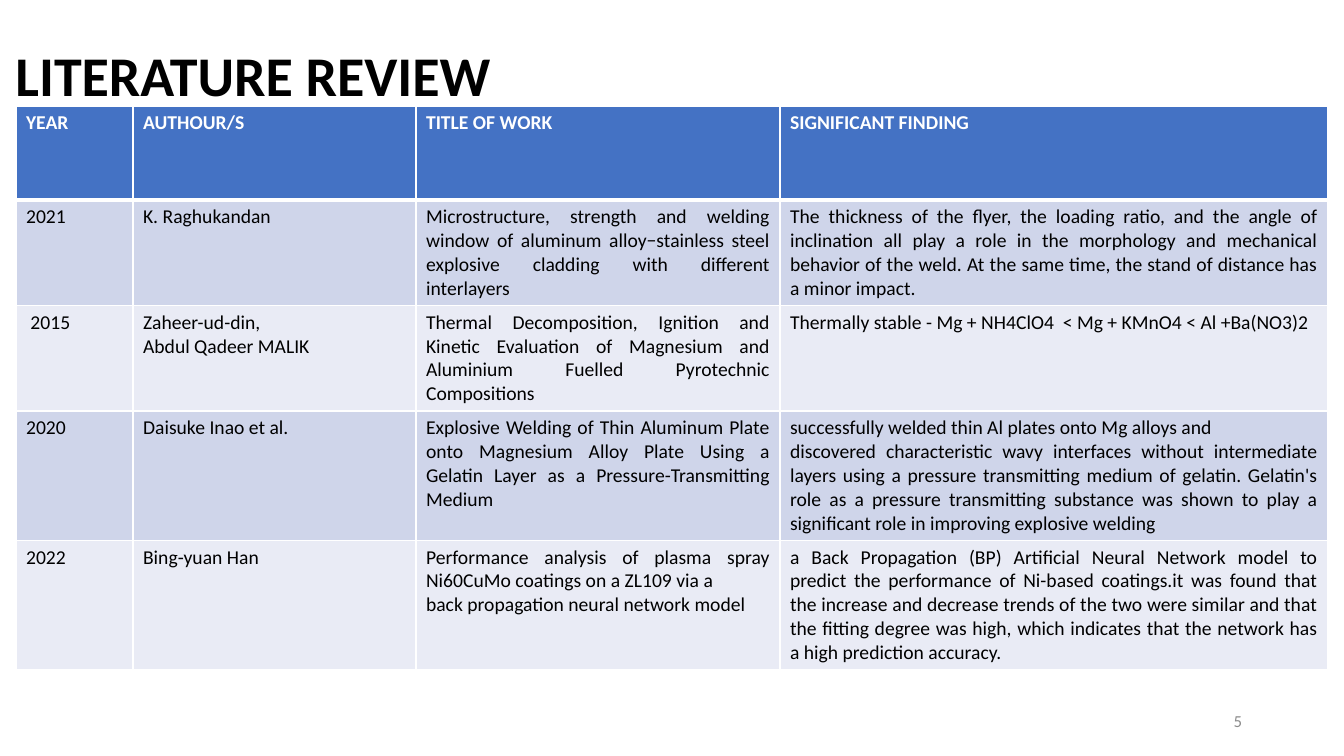
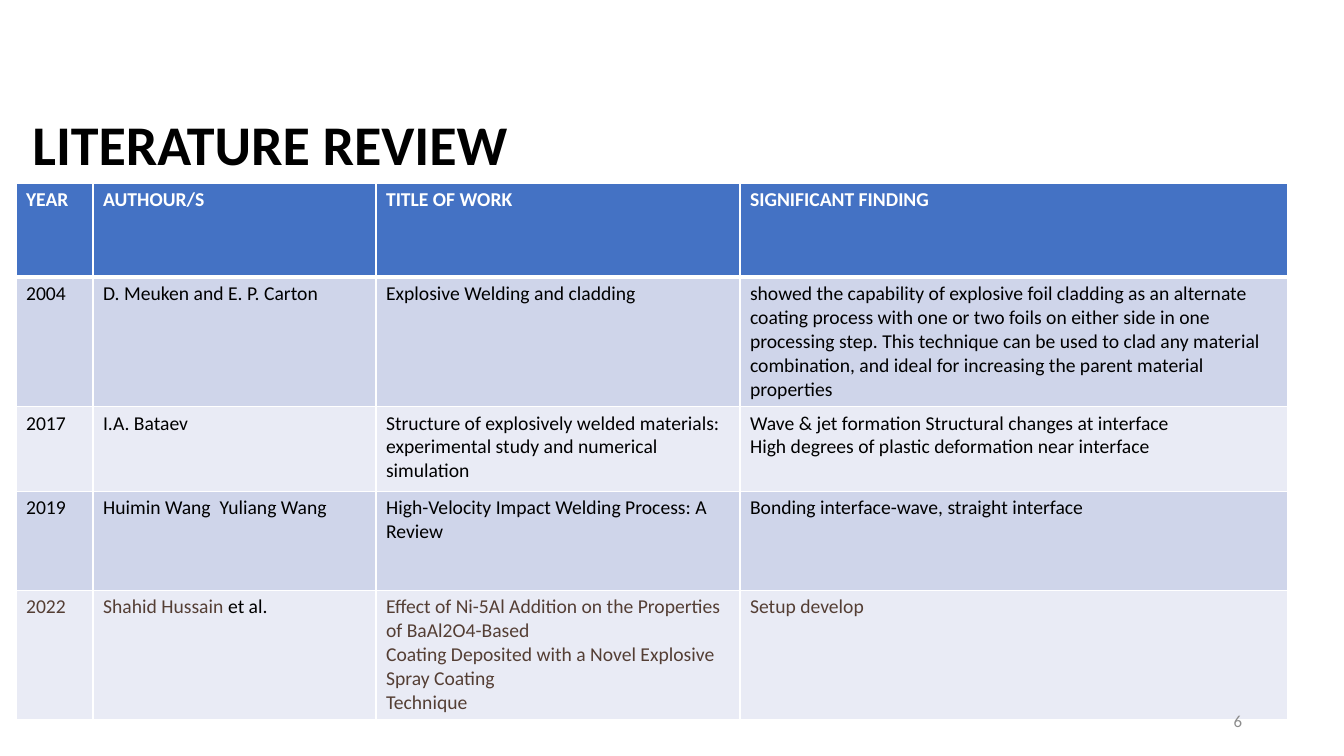
from lxml import etree
from pptx import Presentation
from pptx import util as u
from pptx.dml.color import RGBColor
from pptx.enum import text
from pptx.oxml import ns

PX = 12192000 / 1344
BLACK = RGBColor(0, 0, 0)
WHITE = RGBColor(255, 255, 255)
GREY = RGBColor(0x8C, 0x8C, 0x8C)
BROWN = RGBColor(0x54, 0x3E, 0x34)
HEADER = RGBColor(0x44, 0x72, 0xC4)
BANDS = RGBColor(0xE9, 0xEB, 0xF5), RGBColor(0xCF, 0xD5, 0xEA)
FONT = "Calibri"
TITLE = "LITERATURE REVIEW"
HEADINGS = ("YEAR", "AUTHOUR/S", "TITLE OF WORK", "SIGNIFICANT FINDING")
WORK_COLS = (283, 364, 548)
LEFT = text.PP_ALIGN.LEFT
CENTER = text.PP_ALIGN.CENTER
RIGHT = text.PP_ALIGN.RIGHT
JUSTIFY = text.PP_ALIGN.JUSTIFY


def px(n):
    return u.Emu(round(n * PX))


class Deck:
    def __init__(self):
        self.prs = Presentation()
        self.prs.slide_width, self.prs.slide_height = px(1344), px(756)
        self.s = None

    def slide(self):
        self.s = self.prs.slides.add_slide(self.prs.slide_layouts[5])

    def place(self, sp, x, y, w, h):
        sp.left, sp.top, sp.width, sp.height = px(x), px(y), px(w), px(h)

    def font(self, r, size, color, bold=False):
        r.font.name, r.font.size = FONT, u.Pt(size)
        r.font.color.rgb, r.font.bold = color, bold

    def fill_text(self, tf, words, size, color, bold=False, align=LEFT):
        tf.text = words
        for p in tf.paragraphs:
            p.alignment = align
            for r in p.runs:
                self.font(r, size, color, bold)

    def title(self, x, y):
        sp = self.s.shapes.title
        self.place(sp, x, y, 506, 78)
        tf = sp.text_frame
        tf.auto_size = text.MSO_AUTO_SIZE.NONE
        tf.vertical_anchor = text.MSO_ANCHOR.TOP
        self.fill_text(tf, TITLE, 40, BLACK, True, CENTER)

    def number(self, n):
        tf = self.s.shapes.add_textbox(px(950), px(701), px(302), px(40)).text_frame
        tf.word_wrap = True
        tf.vertical_anchor = text.MSO_ANCHOR.MIDDLE
        self.fill_text(tf, str(n), 12, GREY, align=RIGHT)

    def borders(self, cell, top, bottom):
        tcPr = cell._tc.get_or_add_tcPr()
        for side, width in zip("LRTB", (1, 1, top, bottom)):
            ln = etree.SubElement(tcPr, ns.qn("a:ln" + side), w=str(u.Pt(width)))
            fill = etree.SubElement(ln, ns.qn("a:solidFill"))
            etree.SubElement(fill, ns.qn("a:srgbClr"), val=str(WHITE))

    def table(self, y, year_width, heights, rows, align):
        cols = (year_width, *WORK_COLS)
        rows = (HEADINGS, *rows)
        frame = self.s.shapes.add_table(
            len(rows), len(cols), px(16), px(y), px(sum(cols)), px(sum(heights)))
        tbl = frame.table
        for col, w in zip(tbl.columns, cols):
            col.width = px(w)
        for i, (row, h, words) in enumerate(zip(tbl.rows, heights, rows)):
            row.height = px(h)
            head = i == 0
            for cell, word in zip(row.cells, words):
                self.borders(cell, 3 if i == 1 else 1, 3 if head else 1)
                cell.fill.solid()
                cell.fill.fore_color.rgb = HEADER if head else BANDS[i % 2]
                self.fill_text(cell.text_frame, word, 14, WHITE if head else BLACK, head, align)
        return tbl


WELDING = (
    ("2021", "K. Raghukandan",
     "Microstructure, strength and welding window of aluminum alloy−stainless steel "
     "explosive cladding with different interlayers",
     "The thickness of the flyer, the loading ratio, and the angle of inclination all play "
     "a role in the morphology and mechanical behavior of the weld. At the same time, the "
     "stand of distance has a minor impact."),
    (" 2015", "Zaheer-ud-din,\nAbdul Qadeer MALIK",
     "Thermal Decomposition, Ignition and Kinetic Evaluation of Magnesium and Aluminium "
     "Fuelled Pyrotechnic Compositions",
     "Thermally stable - Mg + NH4ClO4  < Mg + KMnO4 < Al +Ba(NO3)2"),
    ("2020", "Daisuke Inao et al.",
     "Explosive Welding of Thin Aluminum Plate onto Magnesium Alloy Plate Using "
     "a Gelatin Layer as a Pressure-Transmitting Medium",
     "successfully welded thin Al plates onto Mg alloys and\n"
     "discovered characteristic wavy interfaces without intermediate layers using a "
     "pressure transmitting medium of gelatin. Gelatin's role as a pressure transmitting "
     "substance was shown to play a significant role in improving explosive welding"),
    ("2022", "Bing-yuan Han",
     "Performance analysis of plasma spray Ni60CuMo coatings on a ZL109 via a\n"
     "back propagation neural network model",
     "a Back Propagation (BP) Artificial Neural Network model to predict the performance of "
     "Ni-based coatings.it was found that the increase and decrease trends of the two were "
     "similar and that the fitting degree was high, which indicates that the network "
     "has a high prediction accuracy."),
)

CLADDING = (
    ("2004", "D. Meuken and E. P. Carton", "Explosive Welding and cladding",
     "showed the capability of explosive foil cladding as an alternate coating process with "
     "one or two foils on either side in one processing step. This technique can be used "
     "to clad any material combination, and ideal for increasing the parent material "
     "properties"),
    ("2017", "I.A. Bataev",
     "Structure of explosively welded materials: experimental study and numerical simulation",
     "Wave & jet formation Structural changes at interface\n"
     "High degrees of plastic deformation near interface"),
    ("2019", "Huimin Wang  Yuliang Wang",
     "High-Velocity Impact Welding Process: A Review",
     "Bonding interface-wave, straight interface"),
    ("2022", "Shahid Hussain ",
     "Effect of Ni-5Al Addition on the Properties of BaAl2O4-Based\n"
     "Coating Deposited with a Novel Explosive Spray Coating\nTechnique",
     "Setup develop"),
)


def main():
    d = Deck()
    d.slide()
    d.title(0, 35)
    d.table(106, 117, (94, 104, 104, 128, 127), WELDING, JUSTIFY)
    d.number(5)

    d.slide()
    d.title(17, 104)
    tbl = d.table(183, 77, (94, 129, 85, 99, 128), CLADDING, LEFT)
    for cell in tbl.rows[4].cells:
        for p in cell.text_frame.paragraphs:
            for r in p.runs:
                r.font.color.rgb = BROWN
    r = tbl.cell(4, 1).text_frame.paragraphs[0].add_run()
    r.text = "et al."
    d.font(r, 14, BLACK)
    d.number(6)

    d.prs.save("out.pptx")


if __name__ == "__main__":
    main()
